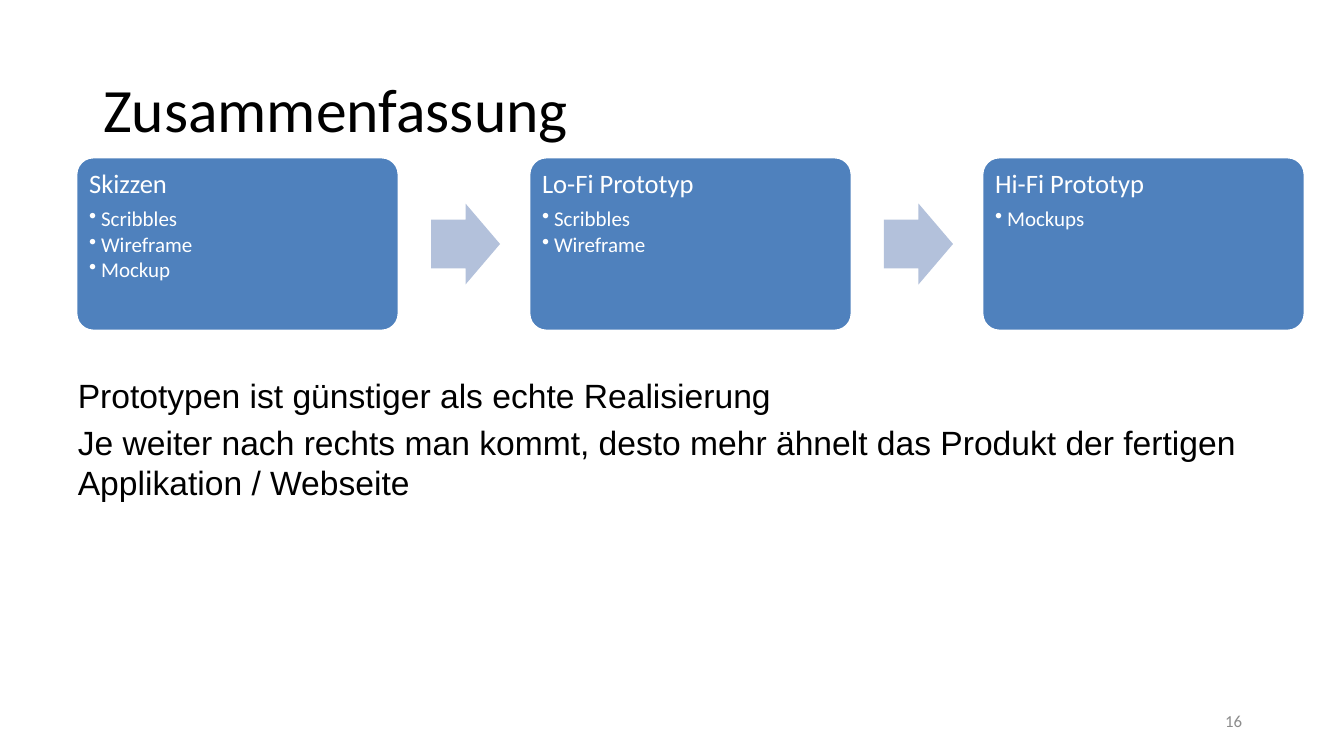
from lxml import etree
from pptx import Presentation
from pptx.dml.color import RGBColor
from pptx.enum.shapes import MSO_SHAPE
from pptx.enum.text import MSO_ANCHOR, PP_ALIGN
from pptx.oxml.ns import qn
from pptx.util import Pt

ROUND_RECT, RIGHT_ARROW = MSO_SHAPE.ROUNDED_RECTANGLE, MSO_SHAPE.RIGHT_ARROW
TOP, MIDDLE = MSO_ANCHOR.TOP, MSO_ANCHOR.MIDDLE
LEFT, RIGHT = PP_ALIGN.LEFT, PP_ALIGN.RIGHT

BLACK = RGBColor(0x00, 0x00, 0x00)
WHITE = RGBColor(0xFF, 0xFF, 0xFF)
GREY = RGBColor(0x8C, 0x8C, 0x8C)
BLUE = RGBColor(0x4F, 0x81, 0xBD)
PALE_BLUE = RGBColor(0xB3, 0xC1, 0xDB)

# Content
TITLE = "Zusammenfassung"
STEPS = [
    ("Skizzen", ["Scribbles", "Wireframe", "Mockup"]),
    ("Lo-Fi Prototyp", ["Scribbles", "Wireframe"]),
    ("Hi-Fi Prototyp", ["Mockups"]),
]
CONCLUSIONS = [
    "Prototypen ist günstiger als echte Realisierung",
    "Je weiter nach rechts man kommt, desto mehr ähnelt das Produkt "
    "der fertigen Applikation / Webseite",
]
PAGE_NUMBER = "16"

# Layout in px
STEP_LEFT, STEP_TOP, STEP_W, STEP_H = 76, 157, 323, 174
STEP_PITCH = 453
ARROW_OFFSET, ARROW_W, ARROW_H = 355, 69, 81
STEP_MARGIN, BULLET_INDENT = 8, 12


def px(n):
    return round(n * 914400 / 100.8)


def add_paragraph(tf, text, size, color, font="Calibri", align=LEFT):
    p = tf.paragraphs[0]
    if p.runs:
        p = tf.add_paragraph()
    p.add_run().text = text
    p.alignment = align
    p.font.name, p.font.size, p.font.color.rgb = font, Pt(size), color
    return p


def add_bullet(p):
    pPr = p._p.get_or_add_pPr()
    pPr.set("marL", str(px(BULLET_INDENT)))
    pPr.set("indent", str(-px(BULLET_INDENT)))
    bullet = etree.Element(qn("a:buChar"), char="•")
    pPr.find(qn("a:defRPr")).addprevious(bullet)


def add_box(x, y, w, h, anchor):
    tf = s.shapes.add_textbox(px(x), px(y), px(w), px(h)).text_frame
    tf.word_wrap, tf.vertical_anchor = True, anchor
    return tf


def add_filled(kind, x, y, w, h, color):
    sp = s.shapes.add_shape(kind, px(x), px(y), px(w), px(h))
    sp.shadow.inherit = False
    sp.fill.solid()
    sp.fill.fore_color.rgb = color
    return sp


prs = Presentation()
prs.slide_width, prs.slide_height = px(1344), px(756)
s = prs.slides.add_slide(prs.slide_layouts[5])

# Title
title = s.shapes.title
title.left, title.top, title.width, title.height = px(93), px(40), px(1159), px(146)
title.text_frame.vertical_anchor = MIDDLE
add_paragraph(title.text_frame, TITLE, 44, BLACK).line_spacing = 0.9

# Page number
add_paragraph(add_box(950, 701, 302, 40, MIDDLE), PAGE_NUMBER, 12, GREY, align=RIGHT)

# Steps with arrows between them
for i, (name, items) in enumerate(STEPS):
    x = STEP_LEFT + i * STEP_PITCH
    sp = add_filled(ROUND_RECT, x, STEP_TOP, STEP_W, STEP_H, BLUE)
    sp.adjustments[0] = 0.1
    sp.line.color.rgb, sp.line.width = WHITE, Pt(2)
    tf = sp.text_frame
    tf.word_wrap, tf.vertical_anchor = True, TOP
    tf.margin_left = tf.margin_right = tf.margin_top = tf.margin_bottom = px(STEP_MARGIN)
    p = add_paragraph(tf, name, 19, WHITE)
    p.line_spacing, p.space_after = 0.9, Pt(6.65)
    for item in items:
        p = add_paragraph(tf, item, 15, WHITE)
        p.level, p.line_spacing, p.space_after = 1, 0.9, Pt(2.25)
        add_bullet(p)
    if i < len(STEPS) - 1:
        arrow = add_filled(RIGHT_ARROW, x + ARROW_OFFSET,
                           STEP_TOP + (STEP_H - ARROW_H) / 2, ARROW_W, ARROW_H, PALE_BLUE)
        arrow.adjustments[0] = 0.6
        arrow.line.fill.background()

# Conclusions
tf = add_box(68, 370, 1210, 305, TOP)
for text in CONCLUSIONS:
    add_paragraph(tf, text, 24, BLACK, font="Arial").space_before = Pt(4.8)

prs.save("out.pptx")
